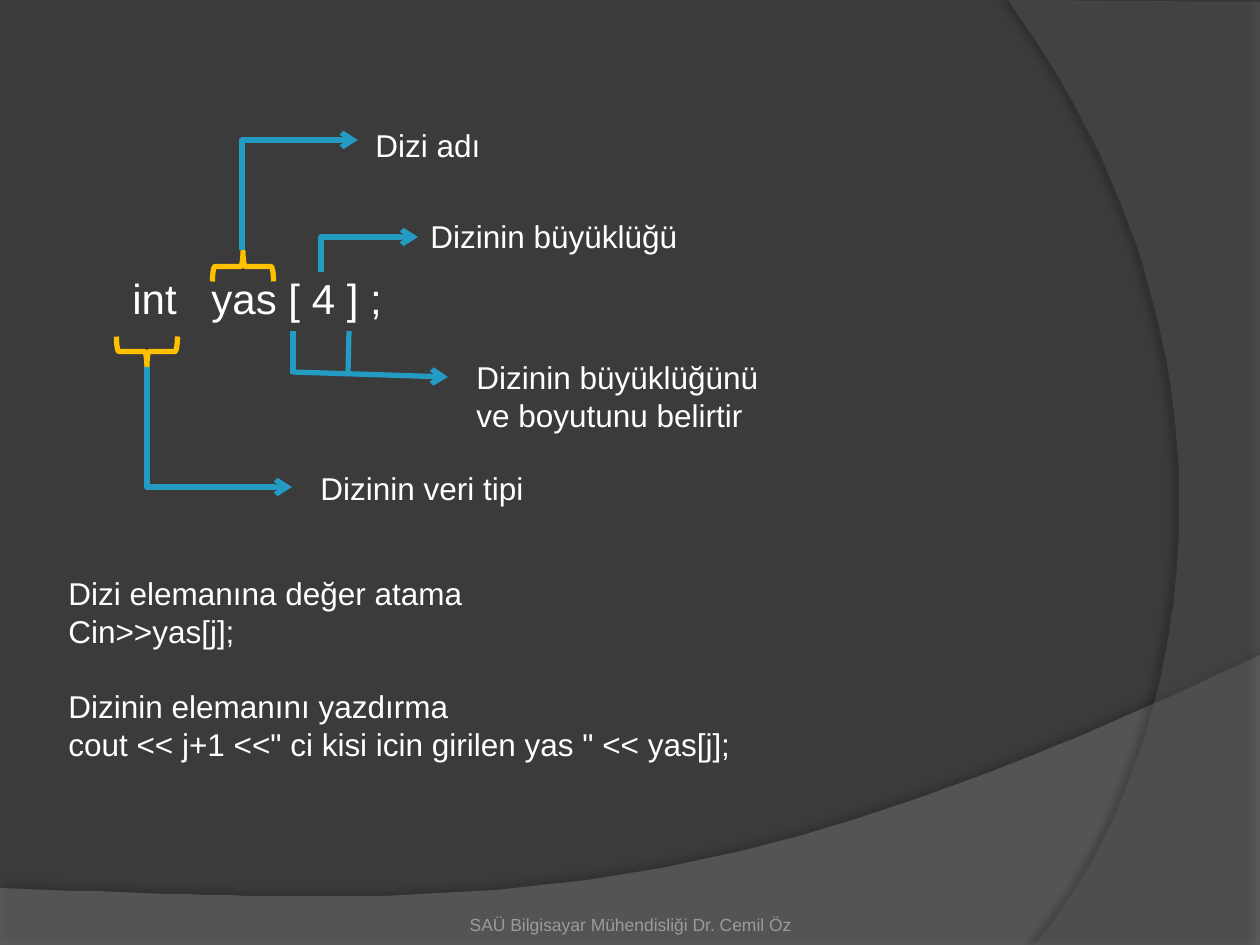
from lxml.etree import SubElement
from pptx import Presentation
from pptx.dml.color import RGBColor
from pptx.enum.shapes import MSO_CONNECTOR as Link, MSO_SHAPE as Shape
from pptx.enum.text import MSO_ANCHOR as Anchor, MSO_AUTO_SIZE as AutoSize, PP_ALIGN as Align
from pptx.oxml.ns import qn
from pptx.util import Pt

PX = 914400 / 126
COLORS = {
    "background": "3B3B3B", "wave": "7F7F7F", "arc": "5E5E5E", "shadow": "000000",
    "text": "FFFFFF", "footer": "9D9B9A", "brace": "FFC000", "arrow": "239BC2",
}


def px(*lengths):
    return [round(length * PX) for length in lengths]


def add_text(at, lines, size, color="text"):
    box = page.shapes.add_textbox(*px(*at))
    frame = box.text_frame
    frame.word_wrap = True
    frame.auto_size = AutoSize.SHAPE_TO_FIT_TEXT
    frame.text = "\n".join(lines)
    for para in frame.paragraphs:
        for span in para.runs:
            span.font.name = "Arial"
            span.font.size = Pt(size)
            span.font.color.rgb = RGBColor.from_string(COLORS[color])
    return frame


deck = Presentation()
deck.slide_width, deck.slide_height = px(1260, 945)
page = deck.slides.add_slide(deck.slide_layouts[6])
page.background.fill.solid()
page.background.fill.fore_color.rgb = RGBColor.from_string(COLORS["background"])

# Backdrop: straight corners, then one Bezier curve, with opacity and shadow in percent
backdrop = [
    ("wave", [(0, 888), (0, 945), (1260, 945)],
     [(1260, 655), (704, 919), (493, 906), (0, 888)], 45, 35, 3.5, 270),
    ("arc", [(1260, 2), (1260, 945)],
     [(1034, 945), (1178, 780), (1283, 378), (1008, 0)], 40, 45, 4, 180),
]
STEPS = 60
for color, corners, curve, opacity, shade, distance, angle in backdrop:
    points = list(corners)
    for step in range(STEPS + 1):
        t = step / STEPS
        weights = ((1 - t) ** 3, 3 * t * (1 - t) ** 2, 3 * t * t * (1 - t), t ** 3)
        points.append(tuple(sum(w * point[axis] for w, point in zip(weights, curve))
                            for axis in (0, 1)))
    builder = page.shapes.build_freeform(*points[0], scale=PX)
    builder.add_line_segments(points[1:], close=True)
    area = builder.convert_to_shape()
    area.line.fill.background()
    area.fill.solid()
    area.fill.fore_color.rgb = RGBColor.from_string(COLORS[color])
    area.shadow.inherit = False
    props = area.element.spPr
    fill_color = props.find(qn("a:solidFill")).find(qn("a:srgbClr"))
    SubElement(fill_color, qn("a:alpha"), val=str(opacity * 1000))
    shadow = SubElement(props.find(qn("a:effectLst")), qn("a:outerShdw"),
                        blurRad=str(Pt(4)), dist=str(Pt(distance)),
                        dir=str(angle * 60000), rotWithShape="0")
    shadow_color = SubElement(shadow, qn("a:srgbClr"), val=COLORS["shadow"])
    SubElement(shadow_color, qn("a:alpha"), val=str(shade * 1000))

footer = add_text((431, 885, 399, 50), ["SAÜ Bilgisayar Mühendisliği Dr. Cemil Öz"], 10, "footer")
footer.auto_size = AutoSize.NONE
footer.vertical_anchor = Anchor.BOTTOM
footer.margin_left = footer.margin_right = footer.margin_bottom = 0
footer.paragraphs[0].alignment = Align.CENTER

# The declaration, with a tab stop between type and name
declaration = add_text((120, 266, 345, 63), ["int\tyas [ 4 ] ;"], 24)
para_props = declaration.paragraphs[0]._p.get_or_add_pPr()
tabs = SubElement(para_props, qn("a:tabLst"))
SubElement(tabs, qn("a:tab"), pos=str(px(79)[0]), algn="l")

for left, top, turn in [(132, 321, 270), (228, 236, 90)]:
    brace = page.shapes.add_shape(Shape.LEFT_BRACE, *px(left, top, 30, 61))
    brace.rotation = turn
    brace.shadow.inherit = False
    brace.fill.background()
    brace.line.color.rgb = RGBColor.from_string(COLORS["brace"])
    brace.line.width = Pt(3)

# Pointers: kind, start and end, arrowhead
pointers = [
    (Link.ELBOW, (242, 250, 358, 140), True),
    (Link.ELBOW, (147, 367, 292, 487), True),
    (Link.ELBOW, (321, 272, 418, 237), True),
    (Link.STRAIGHT, (293, 331, 293, 374), False),
    (Link.STRAIGHT, (349, 331, 348, 374), False),
    (Link.STRAIGHT, (292, 372, 448, 377), True),
]
for kind, ends, has_head in pointers:
    pointer = page.shapes.add_connector(kind, *px(*ends))
    pointer.line.color.rgb = RGBColor.from_string(COLORS["arrow"])
    pointer.line.width = Pt(3)
    props = pointer._element.spPr
    SubElement(props, qn("a:effectLst"))
    if has_head:
        SubElement(props.find(qn("a:ln")), qn("a:tailEnd"), type="arrow")
    if kind == Link.ELBOW:
        # Bend at the start, so that the line runs vertically first
        adjustments = props.find(qn("a:prstGeom")).find(qn("a:avLst"))
        SubElement(adjustments, qn("a:gd"), name="adj1", fmla="val 0")

labels = [
    ("Dizi adı", (363, 120, 237, 50)),
    ("Dizinin büyüklüğü", (418, 211, 348, 50)),
    ("Dizinin büyüklüğünü ve boyutunu belirtir", (464, 352, 348, 89)),
    ("Dizinin veri tipi", (308, 463, 237, 50)),
]
for label, at in labels:
    add_text(at, [label], 18)

examples = add_text((56, 568, 1137, 208), [
    "Dizi elemanına değer atama",
    "Cin>>yas[j];",
    "Dizinin elemanını yazdırma",
    'cout << j+1 <<" ci kisi icin girilen yas " << yas[j];',
], 18)
examples.paragraphs[2].space_before = Pt(21.5)

deck.save("out.pptx")
